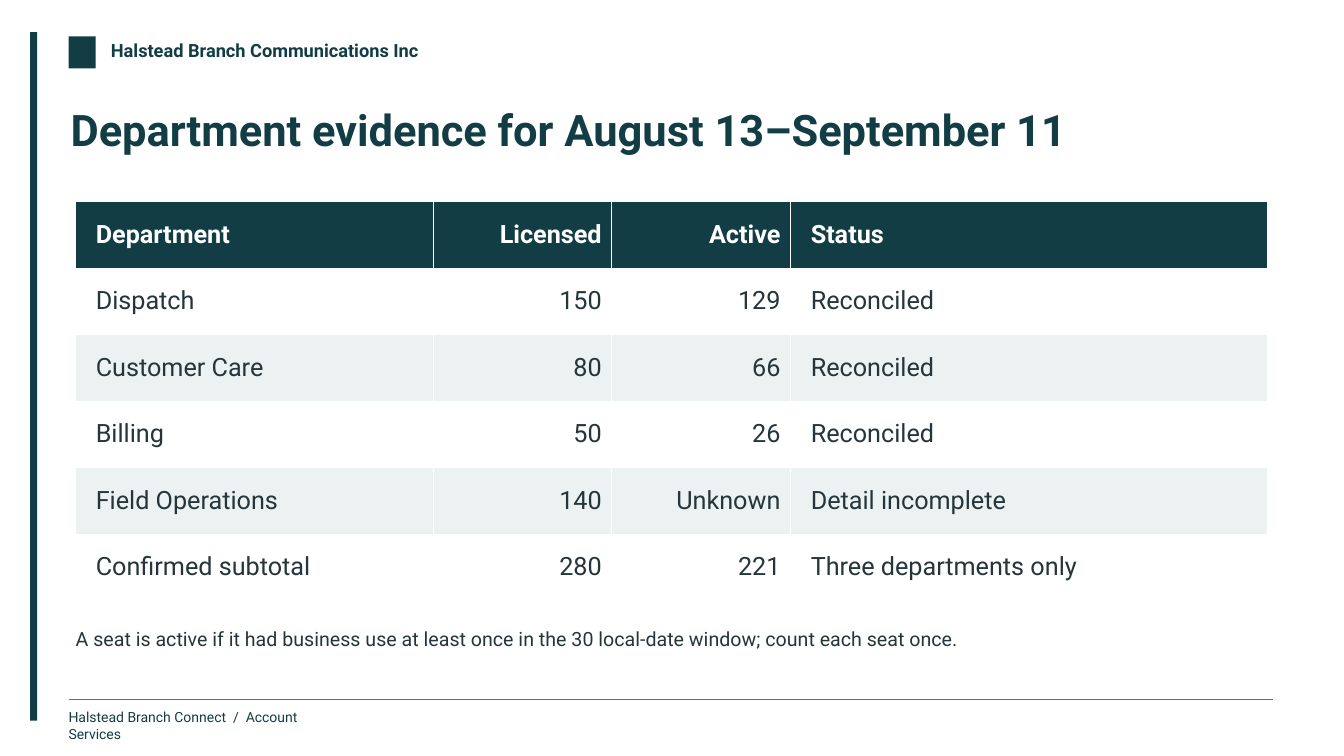
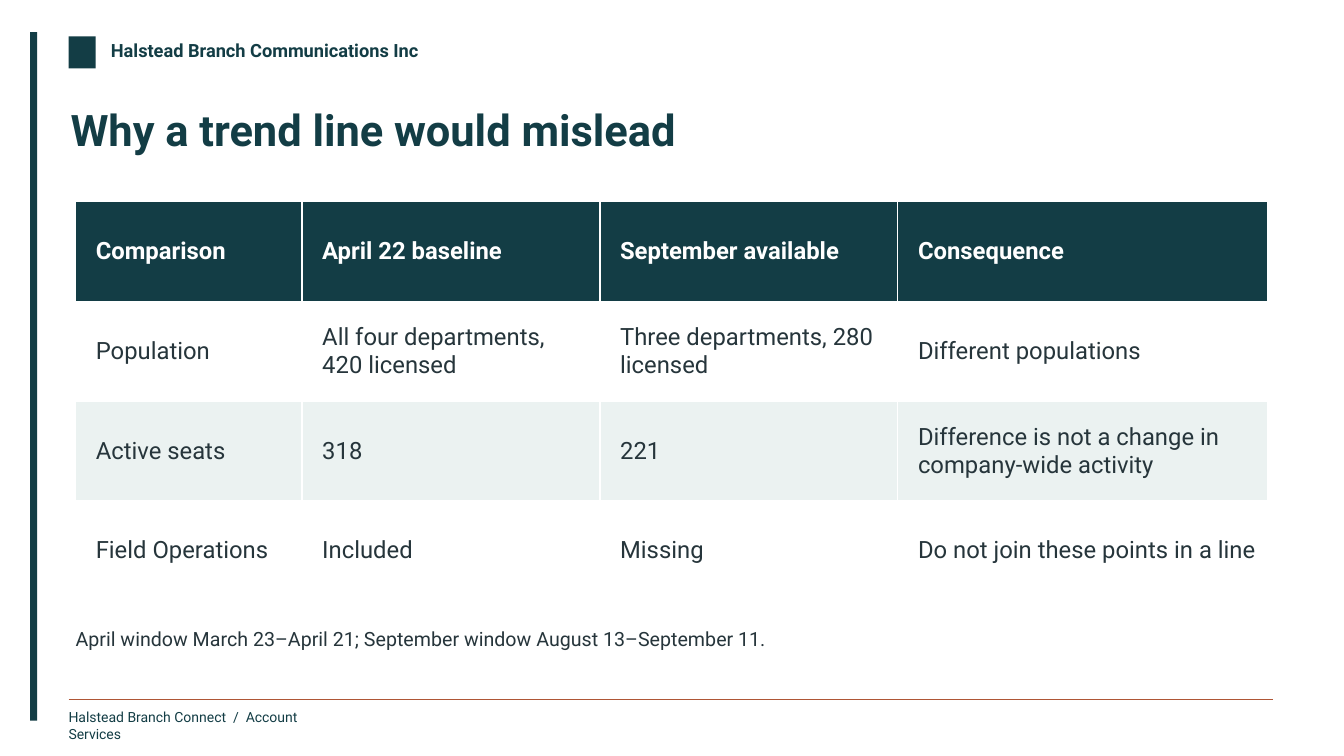
from lxml import etree
from pptx import Presentation
from pptx.dml.color import RGBColor
from pptx.enum.shapes import MSO_CONNECTOR, MSO_SHAPE
from pptx.enum.text import MSO_ANCHOR, PP_ALIGN
from pptx.oxml.ns import qn
from pptx.util import Inches, Pt

# Shared style
FONT = "Roboto"
TEAL = RGBColor(0x13, 0x3D, 0x45)
RUST = RGBColor(0xAF, 0x56, 0x36)
INK = RGBColor(0x26, 0x35, 0x3B)
PALE = RGBColor(0xEB, 0xF2, 0xF1)
WHITE = RGBColor(0xFF, 0xFF, 0xFF)

COMPANY = "Halstead Branch Communications Inc"
FOOTER = "Halstead Branch Connect  /  Account Services"

MARGIN = 0.68
RULE_WIDTH = 11.95
TABLE_LEFT, TABLE_TOP, TABLE_WIDTH, TABLE_HEIGHT = 0.75, 2, 11.82, 3.96

# Content: column shares are fractions of the table width
SLIDES = [
    {
        "title": "Department evidence for August 13–September 11",
        "note": "A seat is active if it had business use at least once in the "
                "30 local-date window; count each seat once.",
        "size": 18,
        "shares": (0.3, 0.15, 0.15, 0.4),
        "right_columns": (1, 2),
        "rows": [
            ("Department", "Licensed", "Active", "Status"),
            ("Dispatch", "150", "129", "Reconciled"),
            ("Customer Care", "80", "66", "Reconciled"),
            ("Billing", "50", "26", "Reconciled"),
            ("Field Operations", "140", "Unknown", "Detail incomplete"),
            ("Confirmed subtotal", "280", "221", "Three departments only"),
        ],
    },
    {
        "title": "Why a trend line would mislead",
        "note": "April window March 23–April 21; "
                "September window August 13–September 11.",
        "size": 17,
        "shares": (0.19, 0.25, 0.25, 0.31),
        "right_columns": (),
        "rows": [
            ("Comparison", "April 22 baseline", "September available",
             "Consequence"),
            ("Population", "All four departments, 420 licensed",
             "Three departments, 280 licensed", "Different populations"),
            ("Active seats", "318", "221",
             "Difference is not a change in company-wide activity"),
            ("Field Operations", "Included", "Missing",
             "Do not join these points in a line"),
        ],
    },
]


def write(frame, text, size, color, bold=False, align=PP_ALIGN.LEFT):
    frame.text = text
    para = frame.paragraphs[0]
    para.alignment = align
    for span in para.runs:
        font = span.font
        font.name, font.size, font.bold = FONT, Pt(size), bold
        font.color.rgb = color


def strip_insets(frame, wrap):
    frame.margin_left = frame.margin_right = 0
    frame.margin_top = frame.margin_bottom = 0
    frame.vertical_anchor = MSO_ANCHOR.TOP
    frame.word_wrap = wrap


def add_text(page, place, text, size, color, bold=False, wrap=False):
    box = page.shapes.add_textbox(*map(Inches, place))
    strip_insets(box.text_frame, wrap)
    write(box.text_frame, text, size, color, bold)


def add_block(page, place):
    block = page.shapes.add_shape(MSO_SHAPE.RECTANGLE, *map(Inches, place))
    block.shadow.inherit = False
    block.fill.solid()
    block.fill.fore_color.rgb = TEAL
    block.line.fill.background()


def add_frame(page):
    # Side band and plain brand mark
    add_block(page, (0.3, 0.32, 0.07, 6.83))
    add_block(page, (MARGIN, 0.36, 0.27, 0.32))
    add_text(page, (1.1, 0.39, 3.55, 0.27), COMPANY, 13, TEAL, bold=True)

    # Footer rule and text
    rule = page.shapes.add_connector(
        MSO_CONNECTOR.STRAIGHT, Inches(MARGIN), Inches(6.94),
        Inches(MARGIN + RULE_WIDTH), Inches(6.94))
    rule.line.color.rgb = RUST
    rule.line.width = Pt(1)
    etree.SubElement(rule._element.spPr, qn("a:effectLst"))
    add_text(page, (MARGIN, 7.03, 2.6, 0.23), FOOTER, 10, TEAL)


def add_title(page, text):
    title = page.shapes.title
    title.left, title.top = Inches(0.7), Inches(1.02)
    title.width, title.height = Inches(11.9), Inches(0.86)
    strip_insets(title.text_frame, wrap=True)
    write(title.text_frame, text, 31, TEAL, bold=True)


def add_grid(page, rows, shares, size, right_columns):
    table = page.shapes.add_table(
        len(rows), len(shares), Inches(TABLE_LEFT), Inches(TABLE_TOP),
        Inches(TABLE_WIDTH), Inches(TABLE_HEIGHT)).table
    table.horz_banding = False
    for column, share in zip(table.columns, shares):
        column.width = Inches(TABLE_WIDTH * share)

    for r, row in enumerate(rows):
        table.rows[r].height = Inches(TABLE_HEIGHT / len(rows))
        header = r == 0
        fill = TEAL if header else WHITE if r % 2 else PALE
        for c, text in enumerate(row):
            cell = table.cell(r, c)
            cell.fill.solid()
            cell.fill.fore_color.rgb = fill
            cell.vertical_anchor = MSO_ANCHOR.MIDDLE
            cell.margin_left, cell.margin_right = Inches(0.2), Inches(0.1)
            cell.margin_top = cell.margin_bottom = Inches(0.07)
            align = PP_ALIGN.RIGHT if c in right_columns else PP_ALIGN.LEFT
            write(cell.text_frame, text, size, WHITE if header else INK,
                  header, align)


def main():
    deck = Presentation()
    deck.slide_width, deck.slide_height = Inches(13.33), Inches(7.5)
    title_only = deck.slide_layouts[5]
    for content in SLIDES:
        page = deck.slides.add_slide(title_only)
        add_frame(page)
        add_title(page, content["title"])
        add_grid(page, content["rows"], content["shares"], content["size"],
                 content["right_columns"])
        add_text(page, (TABLE_LEFT, 6.22, TABLE_WIDTH, 0.44),
                 content["note"], 14, INK, wrap=True)
    deck.save("out.pptx")


if __name__ == "__main__":
    main()
